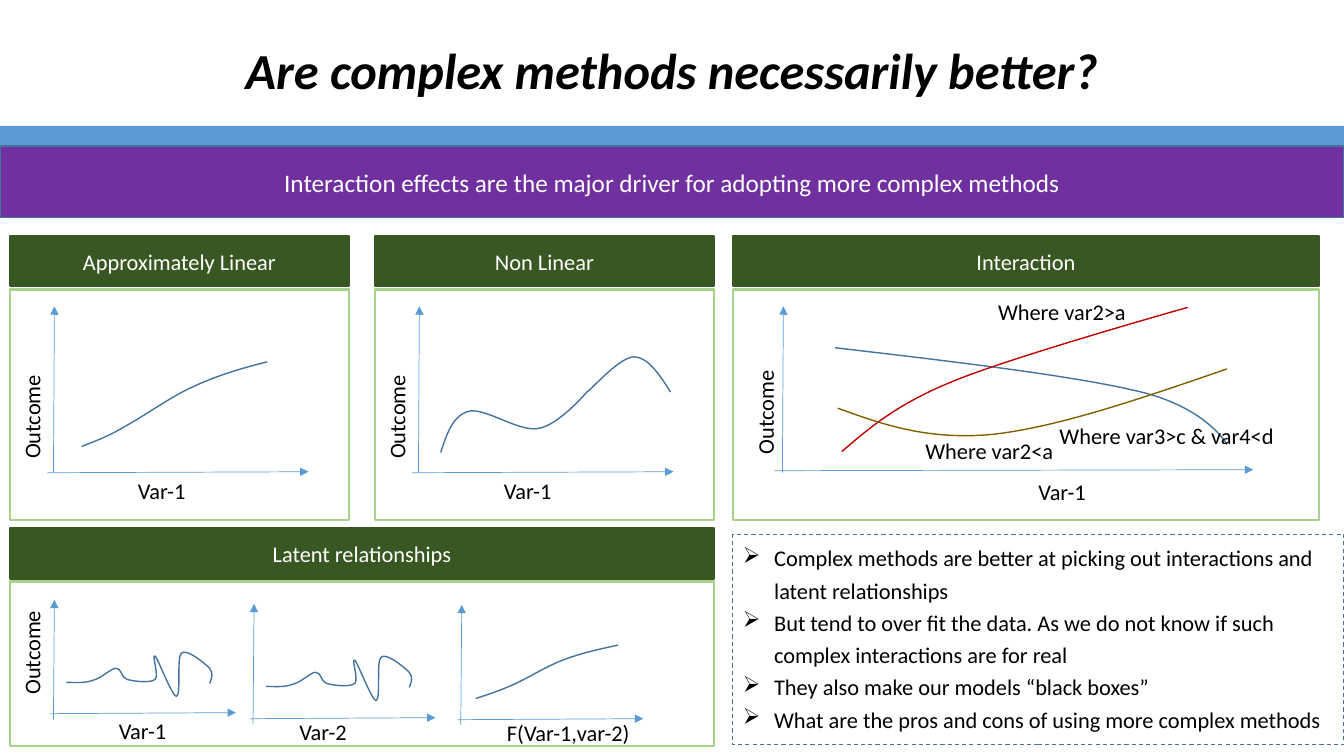
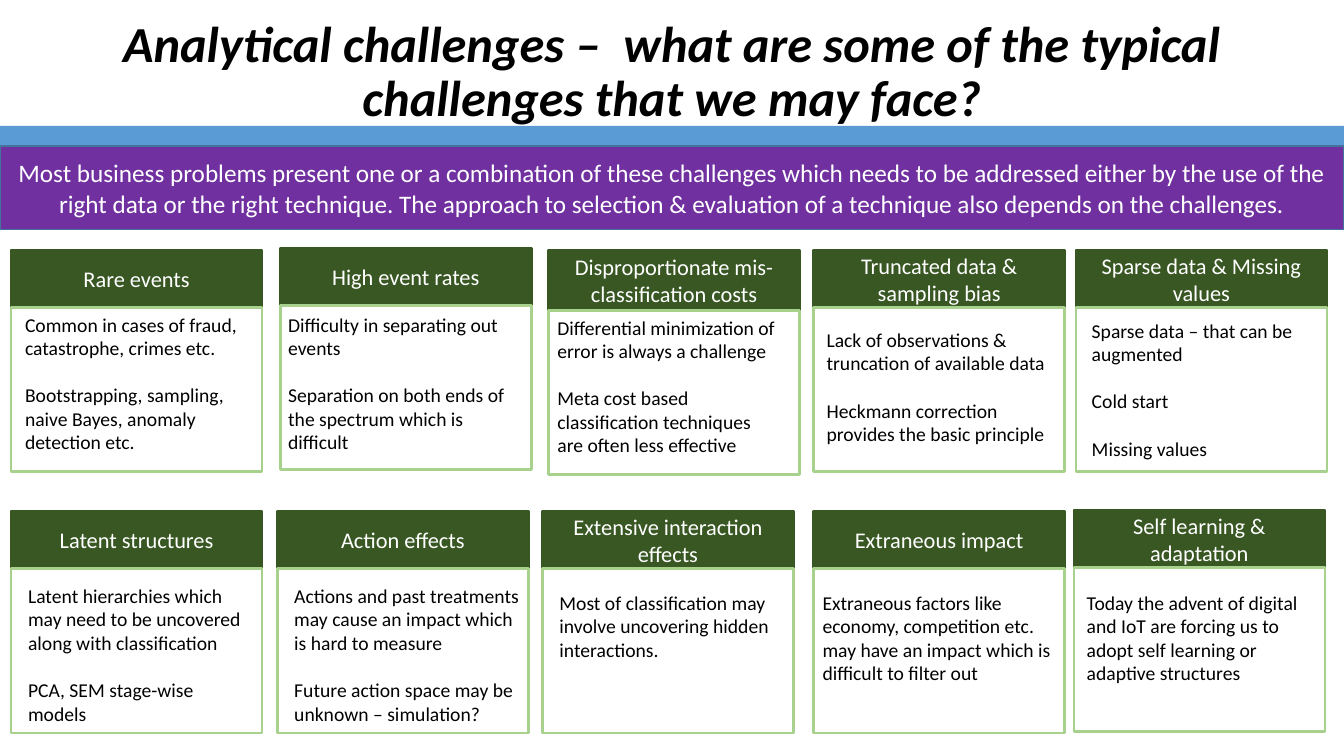
import lxml.etree
import pptx
import pptx.dml.color
import pptx.enum.dml
import pptx.enum.shapes
import pptx.enum.text
import pptx.oxml.ns
import pptx.util
from pptx.util import Inches

FONT = "Calibri"
COLORS = {
    "text": "000000", "white": "FFFFFF", "band": "5B9BD5", "banner": "7030A0",
    "header": "385723", "panel": "A9D18E", "outline": "43739E",
    "red": "C00000", "olive": "806000",
}
qn = pptx.oxml.ns.qn


def rgb(name):
    return pptx.dml.color.RGBColor.from_string(COLORS[name])


def add_box(slide, at, paragraphs=(), size=16, color="text", fill=None, line=None,
            line_width=1.75, centred=False, spacing=None, gap=0):
    """Add a rectangle, or a plain text box when it has neither fill nor line."""
    position = [Inches(length) for length in at]
    if fill or line:
        shape = slide.shapes.add_shape(pptx.enum.shapes.MSO_SHAPE.RECTANGLE, *position)
        shape.shadow.inherit = False
        if fill:
            shape.fill.solid()
            shape.fill.fore_color.rgb = rgb(fill)
        else:
            shape.fill.background()
        if line:
            shape.line.color.rgb = rgb(line)
            shape.line.width = pptx.util.Pt(line_width)
        else:
            shape.line.fill.background()
    else:
        shape = slide.shapes.add_textbox(*position)
    frame = shape.text_frame
    frame.word_wrap = True
    anchors = pptx.enum.text.MSO_ANCHOR
    frame.vertical_anchor = anchors.MIDDLE if centred else anchors.TOP
    frame.text = "\n".join(paragraphs)
    alignments = pptx.enum.text.PP_ALIGN
    for index, paragraph in enumerate(frame.paragraphs):
        paragraph.alignment = alignments.CENTER if centred else alignments.LEFT
        if spacing:
            paragraph.line_spacing = spacing
        if gap and index:
            paragraph.space_before = pptx.util.Pt(gap)
        for run in paragraph.runs:
            run.font.name = FONT
            run.font.size = pptx.util.Pt(size)
            run.font.color.rgb = rgb(color)
    return shape


presentation = pptx.Presentation()
presentation.slide_width = Inches(13.33)
presentation.slide_height = Inches(7.5)

# Title, blue band and purple banner of both slides
headings = [
    ("Are complex methods necessarily better?", 0.71,
     "Interaction effects are the major driver for adopting more complex methods"),
    ("Analytical challenges –  what are some of the typical challenges that we may face?", 0.83,
     "Most business problems present one or a combination of these challenges which needs to be "
     "addressed either by the use of the right data or the right technique. The approach to "
     "selection & evaluation of a technique also depends on the challenges."),
]
slides = []
for title, banner_height, message in headings:
    slide = presentation.slides.add_slide(presentation.slide_layouts[6])
    slides.append(slide)
    title_box = add_box(slide, (0, 0, 13.33, 1.45), [title], 36, centred=True, spacing=0.9)
    title_font = title_box.text_frame.paragraphs[0].runs[0].font
    title_font.bold = title_font.italic = True
    add_box(slide, (0, 1.25, 13.33, 0.2), fill="band")
    add_box(slide, (0, 1.45, 13.33, banner_height), [message], 18, "white",
            "banner", "outline", 1, centred=True)
methods_slide, challenges_slide = slides

# Slide 1: panels with a header
panels = [  # left, top, width, body height, header
    (0.1, 2.34, 3.36, 2.29, "Approximately Linear"),
    (3.72, 2.34, 3.36, 2.29, "Non Linear"),
    (7.27, 2.34, 5.81, 2.29, "Interaction"),
    (0.1, 5.24, 6.98, 1.63, "Latent relationships"),
]
for left, top, width, height, header in panels:
    add_box(methods_slide, (left, top + 0.53, width, height), line="panel")
    add_box(methods_slide, (left, top, width, 0.5), [header], color="white",
            fill="header", line="header", centred=True)

# Slide 1: axes with arrowheads
plots = [  # x axis left, right, level; y axis position, bottom, top
    (0.47, 3.06, 4.69, 0.53, 4.69, 3.04),
    (4.09, 6.68, 4.69, 4.15, 4.69, 3.04),
    (7.68, 12.43, 4.67, 7.76, 4.69, 3.04),
    (0.5, 2.34, 7.08, 0.53, 7.14, 5.95),
    (2.48, 4.32, 7.13, 2.51, 7.18, 5.99),
    (4.54, 6.38, 7.14, 4.57, 7.19, 6),
]
for left, right, level, upright, bottom, top in plots:
    for ends in ((left, level, right, level - 0.01), (upright, bottom, upright + 0.01, top)):
        axis = methods_slide.shapes.add_connector(
            pptx.enum.shapes.MSO_CONNECTOR.STRAIGHT, *[Inches(length) for length in ends])
        axis.line.color.rgb = rgb("band")
        axis.line.width = pptx.util.Pt(0.5)
        arrowhead = lxml.etree.SubElement(axis.line._get_or_add_ln(), qn("a:tailEnd"))
        arrowhead.set("type", "triangle")
        lxml.etree.SubElement(axis._element.spPr, qn("a:effectLst"))

# Slide 1: curves, each a start point and then three points per Bézier segment
squiggle = [
    (0.66, 6.77), (0.75, 6.77), (0.84, 6.78), (0.92, 6.75), (1.01, 6.73), (1.1, 6.63),
    (1.15, 6.63), (1.21, 6.63), (1.2, 6.72), (1.26, 6.74), (1.33, 6.76), (1.49, 6.78),
    (1.54, 6.74), (1.58, 6.7), (1.5, 6.48), (1.54, 6.51), (1.57, 6.54), (1.71, 6.91),
    (1.75, 6.91), (1.8, 6.9), (1.75, 6.52), (1.8, 6.48), (1.85, 6.43), (2.03, 6.58),
    (2.08, 6.63), (2.12, 6.68), (2.1, 6.73), (2.08, 6.78),
]
curves = [
    ("outline", [(0.81, 4.43), (0.93, 4.38), (1.06, 4.34), (1.24, 4.23), (1.43, 4.13),
                 (1.7, 3.93), (1.93, 3.83), (2.17, 3.72), (2.41, 3.65), (2.65, 3.59)]),
    ("outline", [(4.37, 4.49), (4.43, 4.31), (4.49, 4.12), (4.65, 4.08), (4.81, 4.04),
                 (5.15, 4.29), (5.34, 4.25), (5.54, 4.22), (5.82, 3.89), (5.82, 3.89),
                 (5.9, 3.83), (6.15, 3.54), (6.29, 3.54), (6.42, 3.54), (6.54, 3.71),
                 (6.65, 3.89)]),
    ("outline", [(8.28, 3.45), (9.48, 3.59), (10.67, 3.73), (11.32, 3.89), (11.97, 4.05),
                 (12.17, 4.41), (12.17, 4.41)]),
    ("red", [(8.35, 4.48), (8.62, 4.25), (8.89, 4.01), (9.46, 3.78), (10.04, 3.54),
             (11.78, 3.05), (11.78, 3.05)]),
    ("olive", [(8.31, 4.05), (8.75, 4.21), (9.2, 4.37), (9.84, 4.31), (10.49, 4.24),
               (11.33, 3.95), (12.17, 3.66)]),
    ("outline", squiggle),
    ("outline", [(x + 1.98, y + 0.04) for x, y in squiggle]),
    ("outline", [(4.72, 6.93), (4.81, 6.9), (4.91, 6.87), (5.05, 6.81), (5.2, 6.75),
                 (5.4, 6.62), (5.58, 6.55), (5.76, 6.48), (5.95, 6.44), (6.13, 6.4)]),
]
for color, points in curves:
    start, *rest = [(Inches(x), Inches(y)) for x, y in points]
    builder = methods_slide.shapes.build_freeform(*start)
    builder.add_line_segments(rest, close=False)
    curve = builder.convert_to_shape()
    curve.shadow.inherit = False
    curve.fill.background()
    curve.line.color.rgb = rgb(color)
    curve.line.width = pptx.util.Pt(1)
    # Merge every three straight segments into one cubic segment
    outline = next(curve._element.iter(qn("a:path")))
    segments = outline.findall(qn("a:lnTo"))
    for first in range(0, len(segments), 3):
        cubic = lxml.etree.SubElement(outline, qn("a:cubicBezTo"))
        for segment in segments[first:first + 3]:
            cubic.append(segment[0])
            outline.remove(segment)

# Slide 1: axis and curve labels
labels = [  # left, top, width, text
    (1.27, 4.68, 1.85, "Var-1"),
    (4.9, 4.68, 1.85, "Var-1"),
    (10.2, 4.69, 1.85, "Var-1"),
    (1.08, 7.07, 1.85, "Var-1"),
    (2.87, 7.08, 1.85, "Var-2"),
    (4.93, 7.09, 1.85, "F(Var-1,var-2)"),
    (9.8, 2.91, 1.85, "Where var2>a"),
    (9.08, 4.29, 1.85, "Where var2<a"),
    (10.41, 4.14, 2.67, "Where var3>c & var4<d"),
]
for left, top, width, text in labels:
    add_box(methods_slide, (left, top, width, 0.37), [text])
for left, top, width in ((-0.61, 3.54, 1.85), (3.01, 3.54, 1.85),
                         (6.79, 3.62, 1.6), (-0.61, 5.88, 1.85)):
    add_box(methods_slide, (left, top, width, 0.37), ["Outcome"]).rotation = 270

# Slide 1: dashed box of conclusions
conclusions = add_box(methods_slide, (7.27, 5.3, 6.06, 2.09), [
    "Complex methods are better at picking out interactions and latent relationships",
    "But tend to over fit the data. As we do not know if such complex interactions are for real",
    "They also make our models “black boxes”",
    "What are the pros and cons of using more complex methods",
], line="outline", line_width=0.75, spacing=1.2)
conclusions.line.dash_style = pptx.enum.dml.MSO_LINE.DASH
for paragraph in conclusions.text_frame.paragraphs:
    properties = paragraph._p.get_or_add_pPr()
    properties.set("marL", str(Inches(0.31)))
    properties.set("indent", str(-Inches(0.31)))
    lxml.etree.SubElement(properties, qn("a:buChar")).set("char", "➢")

# Slide 2: challenge cards
cards = [  # left, top, header height, header, text left, top and width, paragraphs
    (0.11, 2.48, 0.57, "Rare events", 0.15, 3.05, 2.37,
     ["Common in cases of fraud, catastrophe, crimes etc.",
      "Bootstrapping, sampling, naive Bayes, anomaly detection etc."]),
    (2.78, 2.46, 0.57, "High event rates", 2.76, 3.05, 2.37,
     ["Difficulty in separating out events",
      "Separation on both ends of the spectrum which is difficult"]),
    (5.44, 2.48, 0.6, "Disproportionate mis-classification costs", 5.43, 3.08, 2.37,
     ["Differential minimization of error is always a challenge",
      "Meta cost based classification techniques are often less effective"]),
    (8.07, 2.48, 0.57, "Truncated data & sampling bias", 8.1, 3.2, 2.46,
     ["Lack of observations & truncation of available data",
      "Heckmann correction provides the basic principle"]),
    (10.67, 2.48, 0.57, "Sparse data & Missing values", 10.73, 3.11, 2.46,
     ["Sparse data – that can be augmented", "Cold start", "Missing values"]),
    (0.11, 5.07, 0.57, "Latent structures", 0.18, 5.74, 2.46,
     ["Latent hierarchies which may need to be uncovered along with classification",
      "PCA, SEM stage-wise models"]),
    (2.75, 5.07, 0.57, "Action effects", 2.82, 5.74, 2.46,
     ["Actions and past treatments may cause an impact which is hard to measure",
      "Future action space may be unknown – simulation?"]),
    (5.38, 5.07, 0.57, "Extensive interaction effects", 5.45, 5.81, 2.35,
     ["Most of classification may involve uncovering hidden interactions."]),
    (8.07, 5.07, 0.57, "Extraneous impact", 8.06, 5.81, 2.46,
     ["Extraneous factors like economy, competition etc. may have an impact which is "
      "difficult to filter out"]),
    (10.65, 5.06, 0.57, "Self learning & adaptation", 10.68, 5.81, 2.46,
     ["Today the advent of digital and IoT are forcing us to adopt self learning or "
      "adaptive structures"]),
]
for left, top, height, header, text_left, text_top, text_width, paragraphs in cards:
    add_box(challenges_slide, (left, top, 2.49, height), [header], color="white",
            fill="header", line="header", centred=True)
    add_box(challenges_slide, (left, top + height, 2.49, 1.63), line="panel")
    add_box(challenges_slide, (text_left, text_top, text_width, 1.51), paragraphs, 14, gap=17)

presentation.save("out.pptx")
